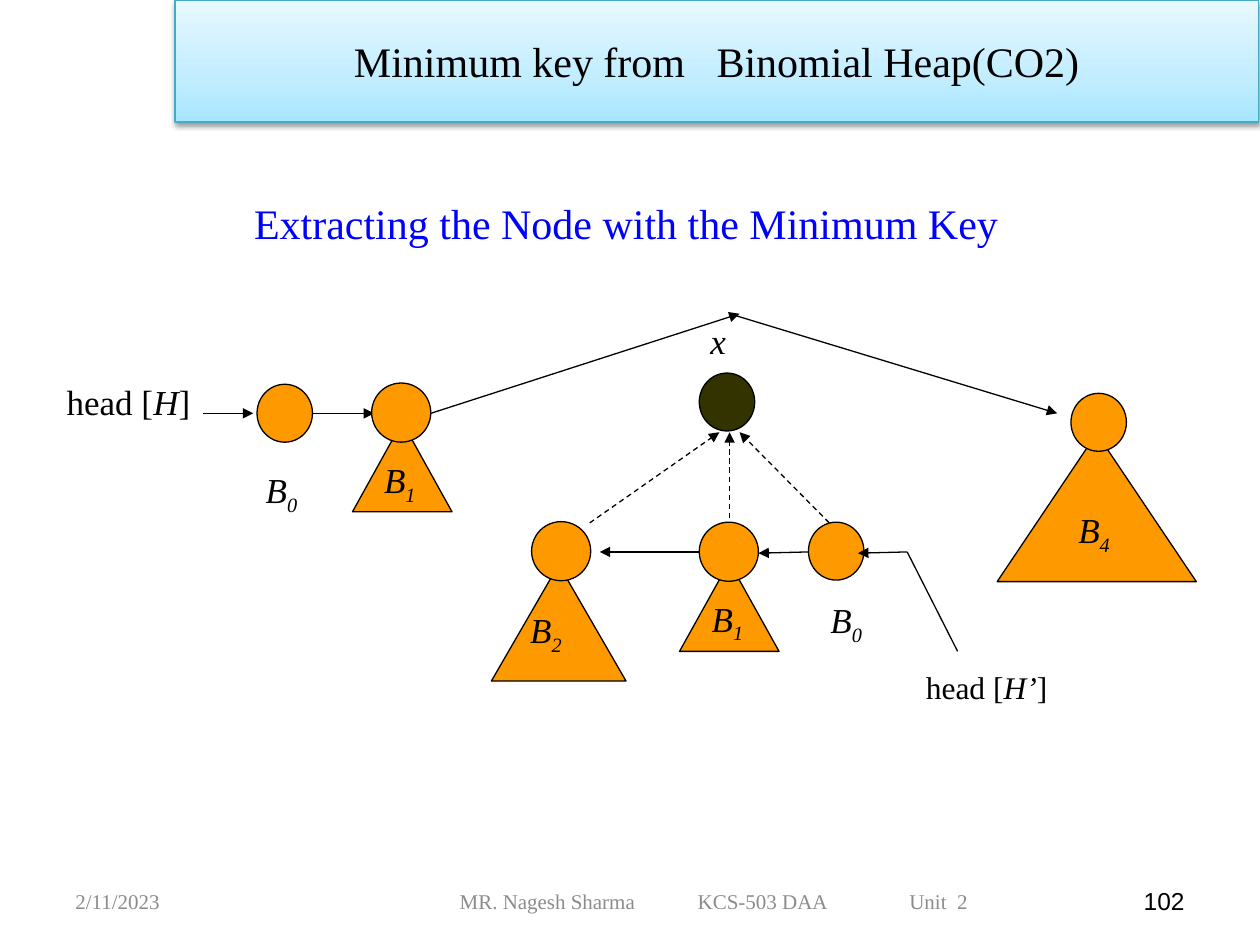
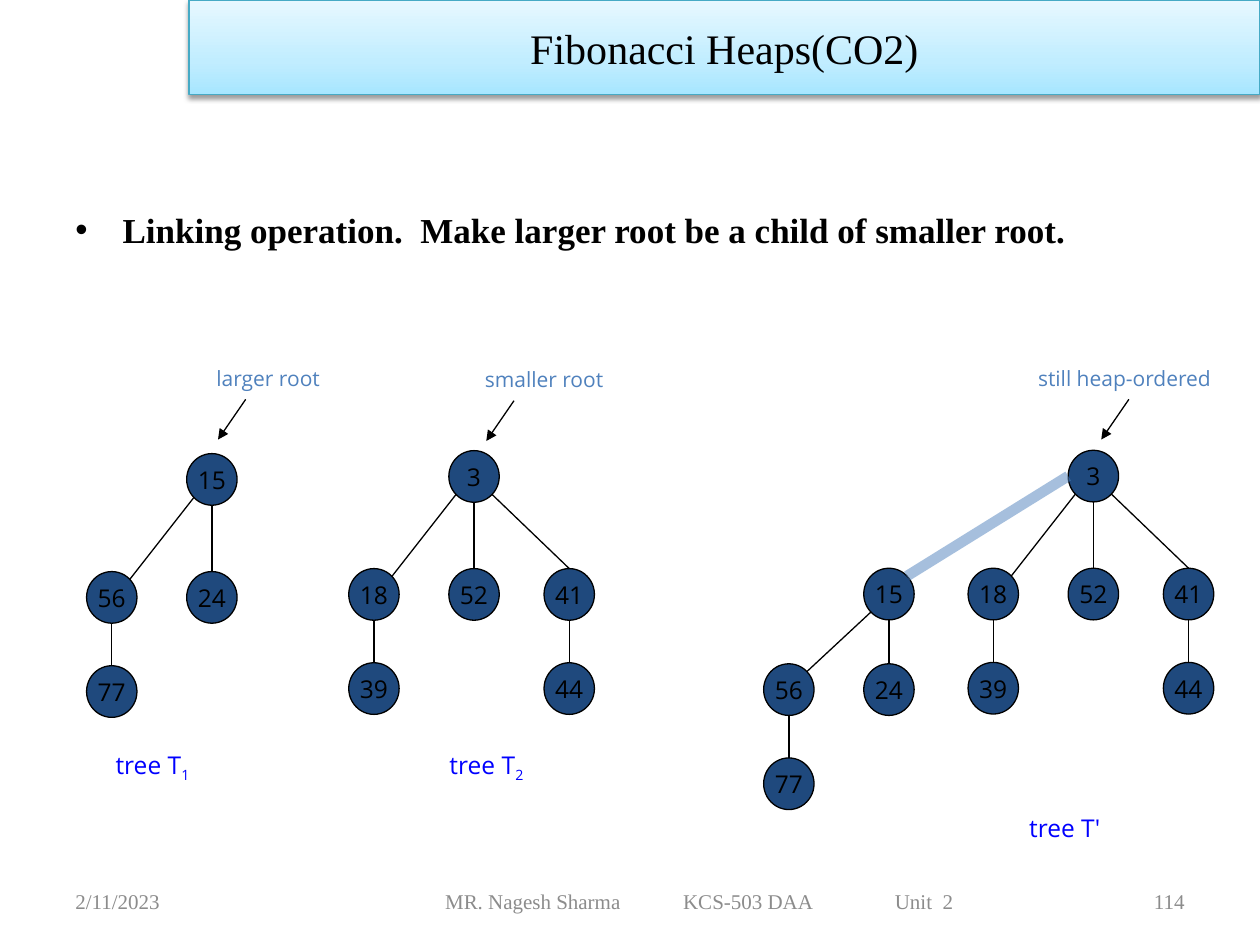
from pptx import Presentation
from pptx.dml.color import RGBColor
from pptx.enum.dml import MSO_LINE
from pptx.enum.shapes import MSO_CONNECTOR, MSO_SHAPE
from pptx.enum.text import MSO_ANCHOR, PP_ALIGN
from pptx.oxml import parse_xml
from pptx.oxml.ns import nsdecls, qn
from pptx.util import Pt

BLACK = RGBColor(0, 0, 0)
BLUE = RGBColor(0, 0, 0xFF)
GRAY = RGBColor(0x8C, 0x8C, 0x8C)
ORANGE = RGBColor(0xFF, 0x99, 0)
OLIVE = RGBColor(0x33, 0x33, 0)
NAVY = RGBColor(0x1F, 0x49, 0x7D)
STEEL = RGBColor(0x4F, 0x81, 0xBD)
TEAL = RGBColor(0x46, 0xAA, 0xC5)
BANNER_STOPS = ((0, "A7E6FF"), (35, "C1EDFF"), (100, "E7F8FF"))

SERIF, SANS, PLAIN = "Times New Roman", "Open Sans", "Arial"
LEFT, CENTER, RIGHT = PP_ALIGN.LEFT, PP_ALIGN.CENTER, PP_ALIGN.RIGHT
TOP, MIDDLE = MSO_ANCHOR.TOP, MSO_ANCHOR.MIDDLE
ELLIPSE, TRIANGLE, RECTANGLE = MSO_SHAPE.OVAL, MSO_SHAPE.ISOSCELES_TRIANGLE, MSO_SHAPE.RECTANGLE
STRAIGHT, DASH = MSO_CONNECTOR.STRAIGHT, MSO_LINE.DASH

FOOTER_TEXT = "MR. Nagesh Sharma\tKCS-503 DAA\tUnit  2"
FOOTER_TABS = (136, 257)
FOOTER_TEXT_WIDTH = 291
FOOTER_TOP, FOOTER_HEIGHT = 500.4, 28.8

SMALL, LARGE = (31.7, 33.1), (33.8, 33.8)
NODE_WIDTH, NODE_HEIGHT = 28.8, 29.5
DIAGONAL = 10.2
COLUMN, RIGHT_COLUMN, LINKED_COLUMN = 57.2, 54.4, 116.8
ROW, STEP, LINKED_STEP = 67.4, 53.8, 54.6


def write(paragraph, text, size=20, color=BLACK, font=SERIF, bold=False, italic=False, baseline=0):
    run = paragraph.add_run()
    run.text = text
    run.font.size = Pt(size)
    run.font.color.rgb = color
    run.font.name = font
    run.font.bold = bold
    run.font.italic = italic
    if baseline:
        run.font._element.set("baseline", str(baseline * 1000))


class Deck:
    """Holds the presentation, its shared style and the slide being drawn."""

    def __init__(self):
        self.presentation = Presentation()
        self.presentation.slide_width = Pt(720)
        self.presentation.slide_height = Pt(540)
        self.slide = None

    def new_slide(self):
        self.slide = self.presentation.slides.add_slide(self.presentation.slide_layouts[6])

    def text(self, left, top, width, height, runs, align=LEFT, anchor=TOP, **style):
        """Add a text box; runs is a string or a list of (string, extra format)."""
        box = self.slide.shapes.add_textbox(Pt(left), Pt(top), Pt(width), Pt(height))
        frame = box.text_frame
        frame.word_wrap = True
        frame.vertical_anchor = anchor
        paragraph = frame.paragraphs[0]
        paragraph.alignment = align
        for content, extra in [(runs, {})] if isinstance(runs, str) else runs:
            write(paragraph, content, **{**style, **extra})
        return box

    def subscripted(self, left, top, base, index, width=50, height=31, **style):
        self.text(left, top, width, height, [(base, {}), (index, {"baseline": -25})], **style)

    def bullet(self, left, top, width, height, content, **style):
        box = self.text(left, top, width, height, content, **style)
        properties = box.text_frame.paragraphs[0]._p.get_or_add_pPr()
        properties.set("marL", str(Pt(27)))
        properties.set("indent", str(-Pt(27)))
        properties.append(parse_xml(f'<a:buFont {nsdecls("a")} typeface="{PLAIN}"/>'))
        properties.append(parse_xml(f'<a:buChar {nsdecls("a")} char="•"/>'))

    def shape(self, kind, left, top, width, height, fill=None, line=BLACK):
        shape = self.slide.shapes.add_shape(kind, Pt(left), Pt(top), Pt(width), Pt(height))
        shape.shadow.inherit = False
        if fill is not None:
            shape.fill.solid()
            shape.fill.fore_color.rgb = fill
        shape.line.color.rgb = line
        shape.line.width = Pt(0.75)
        return shape

    def line(self, start, end, arrow=False, dashed=False, color=BLACK, width=0.75, opacity=None):
        connector = self.slide.shapes.add_connector(STRAIGHT, *map(Pt, (*start, *end)))
        connector.line.color.rgb = color
        connector.line.width = Pt(width)
        if dashed:
            connector.line.dash_style = DASH
        properties = connector._element.spPr
        outline = properties.find(qn("a:ln"))
        if arrow:
            outline.append(parse_xml(f'<a:tailEnd {nsdecls("a")} type="triangle"/>'))
        if opacity:
            outline.find(".//" + qn("a:srgbClr")).append(
                parse_xml(f'<a:alpha {nsdecls("a")} val="{opacity * 1000}"/>'))
        properties.append(parse_xml(f'<a:effectLst {nsdecls("a")}/>'))

    def banner(self, left, width, height, title):
        shape = self.shape(RECTANGLE, left, 0, width, height, line=TEAL)
        shape.fill.gradient()
        shape.fill.gradient_angle = 90
        properties = shape._element.spPr
        stops = "".join(f'<a:gs pos="{position * 1000}"><a:srgbClr val="{color}"/></a:gs>'
                        for position, color in BANNER_STOPS)
        gradient = properties.find(qn("a:gradFill"))
        gradient.replace(gradient.find(qn("a:gsLst")),
                         parse_xml(f'<a:gsLst {nsdecls("a")}>{stops}</a:gsLst>'))
        properties.find(qn("a:effectLst")).append(parse_xml(
            f'<a:outerShdw {nsdecls("a")} blurRad="{Pt(3.1)}" dist="{Pt(1.6)}" dir="5400000" '
            'rotWithShape="0"><a:srgbClr val="000000"><a:alpha val="38000"/></a:srgbClr></a:outerShdw>'))
        shape.text_frame.vertical_anchor = MIDDLE
        paragraph = shape.text_frame.paragraphs[0]
        paragraph.alignment = CENTER
        write(paragraph, title, size=24)

    def footer(self, number, width, **number_style):
        style = {"size": 12, "color": GRAY, "anchor": MIDDLE}
        self.text(36, FOOTER_TOP, 168, FOOTER_HEIGHT, "2/11/2023", **style)
        box = self.text(246.2, FOOTER_TOP, width, FOOTER_HEIGHT, FOOTER_TEXT, **style)
        box.text_frame.margin_left = Pt((width - FOOTER_TEXT_WIDTH) / 2)
        box.text_frame.margin_right = 0
        tabs = "".join(f'<a:tab pos="{Pt(stop)}" algn="l"/>' for stop in FOOTER_TABS)
        box.text_frame.paragraphs[0]._p.get_or_add_pPr().append(
            parse_xml(f'<a:tabLst {nsdecls("a")}>{tabs}</a:tabLst>'))
        self.text(516, FOOTER_TOP, 168, FOOTER_HEIGHT, number, align=RIGHT, **{**style, **number_style})

    def heap_node(self, left, top, size, triangle=None, fill=ORANGE):
        """Draw a root circle on top of an optional triangle that stands for its subtree."""
        if triangle:
            self.shape(TRIANGLE, *triangle, fill=fill)
        self.shape(ELLIPSE, left, top, *size, fill=fill)

    def tree(self, center, top, key, children=()):
        """Draw a key node and, below it, children given as (shift, drop, key, children)."""
        node = self.shape(ELLIPSE, center - NODE_WIDTH / 2, top, NODE_WIDTH, NODE_HEIGHT, fill=NAVY)
        frame = node.text_frame
        frame.word_wrap = False
        frame.vertical_anchor = MIDDLE
        frame.paragraphs[0].alignment = CENTER
        write(frame.paragraphs[0], key, size=14, font=SANS)
        middle = top + NODE_HEIGHT / 2
        for shift, drop, child_key, grandchildren in children:
            child, child_top = center + shift, top + drop
            child_corner = (child + DIAGONAL, child_top + NODE_HEIGHT / 2 - DIAGONAL)
            self.tree(child, child_top, child_key, grandchildren)
            if shift == -LINKED_COLUMN:
                self.line(child_corner, (center - NODE_WIDTH / 2, middle),
                          color=STEEL, width=6, opacity=50)
            elif shift < 0:
                self.line(child_corner, (center - DIAGONAL, middle + DIAGONAL))
            elif shift > 0:
                self.line((child, child_top), (center + DIAGONAL, middle + DIAGONAL))
            else:
                self.line((child, child_top), (center, top + NODE_HEIGHT))

    def root_note(self, left, top, width, content, tip):
        self.text(left, top, width, 21.6, content, size=12, color=STEEL, font=SANS)
        self.line((tip + 15.8, top + 23), (tip, top + 46), arrow=True)


def draw_minimum_key(deck):
    deck.new_slide()
    deck.text(18.7, 82.1, 678.2, 90, "Extracting the Node with the Minimum Key",
              align=CENTER, anchor=MIDDLE, size=24, color=BLUE)

    root_links = [((115.9, 236.2), (144.7, 236.2)), ((178.6, 236.2), (213.8, 236.2)),
                  ((246.2, 236.2), (422.6, 179.3)), ((416.9, 179.3), (604.1, 236.2))]
    child_links = [((399.6, 315.4), (342.7, 315.4)), ((462.2, 315.4), (433.4, 316.1)),
                   ((518.4, 315.4), (490.3, 316.1))]
    former_parent_links = [((337, 298.8), (411.1, 247)), ((416.9, 295.9), (416.9, 247)),
                           ((477.4, 302.4), (422.6, 247))]

    for start, end in root_links + child_links[:2]:
        deck.line(start, end, arrow=True)
    for start, end in former_parent_links:
        deck.line(start, end, arrow=True, dashed=True)

    nodes = [
        (146.9, 219.6, SMALL, None),
        (212.4, 218.9, LARGE, (201.4, 241.2, 56.9, 51.3)),
        (303.8, 298.1, LARGE, (280.8, 322.6, 77, 66.6)),
        (399.6, 298.4, LARGE, (388.3, 321.1, 56.9, 51.1)),
        (462, 298.4, SMALL, None),
        (612, 224.8, SMALL, (569.8, 247.7, 113.8, 84.7)),
    ]
    for left, top, size, triangle in nodes:
        deck.heap_node(left, top, size, triangle)
    deck.heap_node(399.6, 213.2, SMALL, fill=OLIVE)
    deck.line(*child_links[2], arrow=True)
    deck.line((518.4, 315.4), (547.2, 372.2))

    for left, top, order in [(144.7, 264.2, "0"), (212.4, 258.5, "1"), (295.9, 344.2, "2"),
                             (399.6, 337.7, "1"), (467.5, 338.4, "0"), (609.1, 287.3, "4")]:
        deck.subscripted(left, top, "B", order, italic=True)
    deck.text(398.8, 179.3, 30, 31, "x", italic=True)
    for left, top, name, size in [(31, 213.8, "H", 20), (522, 378, "H’", 18)]:
        deck.text(left, top, 92, 31, [("head [", {}), (name, {"italic": True}), ("]", {})], size=size)

    deck.banner(100, 619.2, 69.8, "Minimum key from   Binomial Heap(CO2)")
    deck.footer("102", 324, size=14, color=BLACK, font=PLAIN)


def draw_linking(deck):
    deck.new_slide()
    deck.bullet(36, 115.8, 648, 354, bold=True,
                content="Linking operation.  Make larger root be a child of smaller root.")

    smaller_children = [
        (-COLUMN, ROW, "18", [(0, STEP, "39", [])]),
        (0, ROW, "52", []),
        (RIGHT_COLUMN, ROW, "41", [(0, STEP, "44", [])]),
    ]

    def larger_children(drop):
        return [(-COLUMN, drop, "56", [(0, STEP, "77", [])]), (0, drop, "24", [])]

    linked_child = (-LINKED_COLUMN, ROW, "15", larger_children(LINKED_STEP))
    deck.tree(121.1, 259.2, "15", larger_children(ROW))
    deck.tree(270.9, 257.5, "3", smaller_children)
    deck.tree(624.8, 257.3, "3", smaller_children + [linked_child])

    label_style = {"size": 14, "color": BLUE, "font": SANS}
    for left, index in [(59, "1"), (249.8, "2")]:
        deck.subscripted(left, 424.8, "tree T", index, width=64, height=24, **label_style)
    deck.text(581, 460.8, 60, 24, "tree T'", **label_style)

    deck.root_note(116.6, 205.2, 82, "larger root", 124.6)
    deck.root_note(270, 206, 88, "smaller root", 277.9)
    deck.root_note(586.1, 205.2, 120, "still heap-ordered", 629.3)

    deck.banner(108, 612, 54, "Fibonacci Heaps(CO2)")
    deck.footer("114", 307.4)


def main():
    deck = Deck()
    draw_minimum_key(deck)
    draw_linking(deck)
    deck.presentation.save("out.pptx")


if __name__ == "__main__":
    main()
